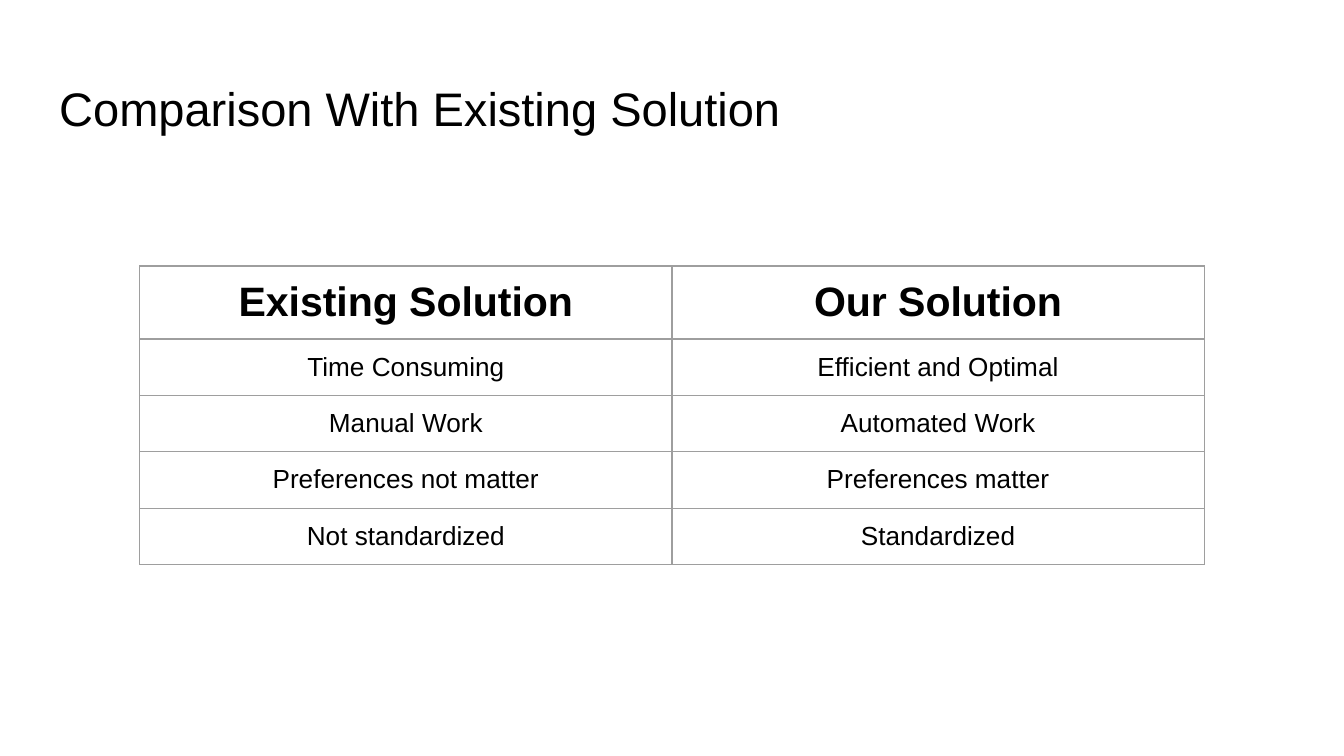
from pptx import Presentation
from pptx.dml.color import RGBColor
from pptx.enum.text import MSO_ANCHOR, PP_ALIGN
from pptx.oxml import parse_xml
from pptx.oxml.ns import nsdecls
from pptx.util import Inches, Pt

SLIDE_WIDTH = 10
SLIDE_HEIGHT = SLIDE_WIDTH * 9 / 16
FONT = "Arial"
BLACK = "000000"
WHITE = "FFFFFF"
GRAY = "9E9E9E"
INSET = Inches(0.1)
HEADER_HEIGHT = 0.54
ROW_HEIGHT = 0.42

COMPARISON = [
    ("Existing Solution", "Our Solution"),
    ("Time Consuming", "Efficient and Optimal"),
    ("Manual Work", "Automated Work"),
    ("Preferences not matter", "Preferences matter"),
    ("Not standardized", "Standardized"),
]


def color(hex_code):
    return RGBColor.from_string(hex_code)


def format_text(paragraph, size, alignment, bold=False):
    paragraph.alignment = alignment
    for run in paragraph.runs:
        run.font.name = FONT
        run.font.size = Pt(size)
        run.font.bold = bold
        run.font.color.rgb = color(BLACK)


def set_insets(item):
    """Give a cell or text frame the same margin on every side."""
    item.margin_left = item.margin_right = INSET
    item.margin_top = item.margin_bottom = INSET


def set_borders(cell):
    properties = cell._tc.get_or_add_tcPr()
    for position, side in enumerate(("lnL", "lnR", "lnT", "lnB")):
        border = parse_xml(
            f'<a:{side} {nsdecls("a")} w="{Pt(0.75)}"><a:solidFill>'
            f'<a:srgbClr val="{GRAY}"/></a:solidFill></a:{side}>'
        )
        properties.insert(position, border)


def add_title(slide, text):
    title = slide.shapes.title
    title.left, title.top = Inches(0.34), Inches(0.49)
    title.width, title.height = Inches(9.32), Inches(0.63)
    text_frame = title.text_frame
    text_frame.text = text
    text_frame.word_wrap = True
    text_frame.vertical_anchor = MSO_ANCHOR.MIDDLE
    set_insets(text_frame)
    format_text(text_frame.paragraphs[0], 25.2, PP_ALIGN.LEFT)


def fill_cell(cell, text, is_header):
    cell.text_frame.text = text
    set_insets(cell)
    cell.fill.solid()
    cell.fill.fore_color.rgb = color(WHITE)
    set_borders(cell)
    format_text(cell.text_frame.paragraphs[0], 22 if is_header else 14,
                PP_ALIGN.CENTER, bold=is_header)


def add_comparison_table(slide, rows):
    height = HEADER_HEIGHT + ROW_HEIGHT * (len(rows) - 1)
    table = slide.shapes.add_table(
        len(rows), len(rows[0]),
        Inches(1.04), Inches(1.98), Inches(7.92), Inches(height),
    ).table
    table.horz_banding = False
    for row_index, texts in enumerate(rows):
        is_header = row_index == 0
        table.rows[row_index].height = Inches(HEADER_HEIGHT if is_header else ROW_HEIGHT)
        for column_index, text in enumerate(texts):
            fill_cell(table.cell(row_index, column_index), text, is_header)


def main():
    presentation = Presentation()
    presentation.slide_width = Inches(SLIDE_WIDTH)
    presentation.slide_height = Inches(SLIDE_HEIGHT)
    slide = presentation.slides.add_slide(presentation.slide_layouts[5])
    add_title(slide, "Comparison With Existing Solution")
    add_comparison_table(slide, COMPARISON)
    presentation.save("out.pptx")


if __name__ == "__main__":
    main()
